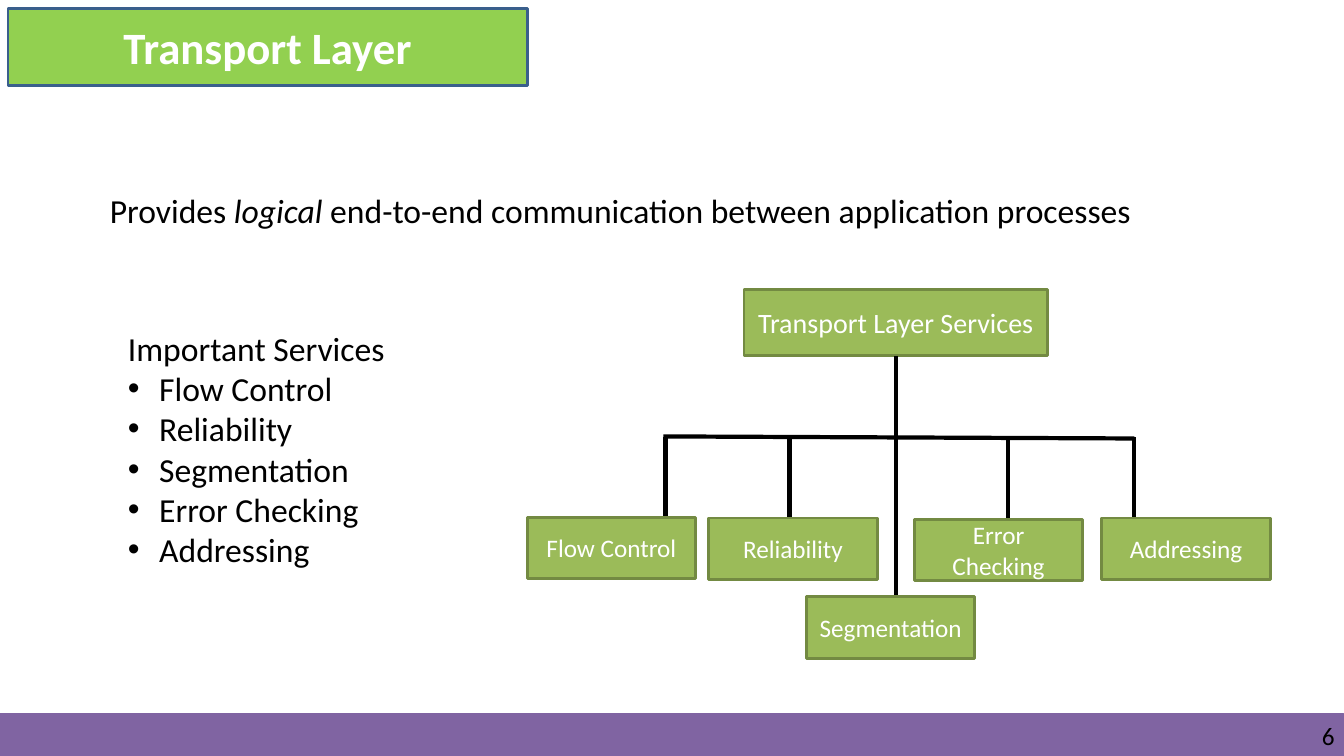
from dataclasses import dataclass

from lxml.etree import SubElement
from pptx import Presentation
from pptx.dml.color import RGBColor as RGB
from pptx.enum.shapes import MSO_CONNECTOR as CONNECTOR, MSO_SHAPE as SHAPE
from pptx.enum.text import MSO_ANCHOR as ANCHOR, MSO_AUTO_SIZE as AUTOSIZE, PP_ALIGN as ALIGN
from pptx.oxml.ns import qn
from pptx.util import Inches, Pt

WIDTH, HEIGHT = Inches(13.33), Inches(7.5)


@dataclass(frozen=True)
class Theme:
    font: str = "Calibri"
    ink: RGB = RGB.from_string("000000")
    light: RGB = RGB.from_string("FFFFFF")
    title_fill: RGB = RGB.from_string("92D050")
    title_edge: RGB = RGB.from_string("3A5F8C")
    node_fill: RGB = RGB.from_string("9BBB59")
    node_edge: RGB = RGB.from_string("738A42")
    footer: RGB = RGB.from_string("8064A2")
    title_size: int = 32
    body_size: int = 24
    root_size: int = 20
    small_size: int = 18
    edge: float = 2
    branch: float = 3
    bullet_indent: float = 0.31


THEME = Theme()

# Positions and sizes are percentages of the slide's width and height.
LEAF_SIZE = (12.53, 8.13)
BUS_Y = 57.87
# service: (box left, box top, x of its branch)
SERVICES = {
    "Flow Control": (39.23, 68.4, 49.51),
    "Reliability": (52.74, 68.53, 58.74),
    "Segmentation": (60.01, 78.93, 66.69),
    "Error Checking": (68.04, 68.67, 75.02),
    "Addressing": (81.99, 68.53, 84.4),
}


def across(share):
    return round(WIDTH * share / 100)


def down(share):
    return round(HEIGHT * share / 100)


def area(left, top, width, height):
    return across(left), down(top), across(width), down(height)


def add_run(paragraph, text, size, color, bold=False, italic=False):
    run = paragraph.add_run()
    run.text = text
    font = run.font
    font.name, font.size, font.color.rgb = THEME.font, Pt(size), color
    font.bold, font.italic = bold, italic


def paint(shape, fill, edge, weight):
    shape.fill.solid()
    shape.fill.fore_color.rgb = fill
    shape.line.color.rgb = edge
    shape.line.width = Pt(weight)


def write_centred(shape, text, size, bold=False):
    frame = shape.text_frame
    frame.word_wrap, frame.auto_size = True, AUTOSIZE.NONE
    frame.vertical_anchor = ANCHOR.MIDDLE
    paragraph = frame.paragraphs[0]
    paragraph.alignment = ALIGN.CENTER
    add_run(paragraph, text, size, THEME.light, bold)


def add_rectangle(slide, box, fill, edge, weight):
    rectangle = slide.shapes.add_shape(SHAPE.RECTANGLE, *area(*box))
    rectangle.shadow.inherit = False
    paint(rectangle, fill, edge, weight)
    return rectangle


def add_node(slide, box, label, size):
    node = add_rectangle(slide, box, THEME.node_fill, THEME.node_edge, THEME.edge)
    write_centred(node, label, size)
    return node


def add_branch(slide, start, end):
    branch = slide.shapes.add_connector(
        CONNECTOR.STRAIGHT, across(start[0]), down(start[1]), across(end[0]), down(end[1]))
    branch.line.color.rgb = THEME.ink
    branch.line.width = Pt(THEME.branch)
    SubElement(branch.element.spPr, qn("a:effectLst"))
    return branch


def add_text_frame(slide, box):
    frame = slide.shapes.add_textbox(*area(*box)).text_frame
    frame.word_wrap = True
    return frame


def add_bullet(paragraph):
    properties = paragraph._p.get_or_add_pPr()
    indent = Inches(THEME.bullet_indent)
    properties.set("marL", str(indent))
    properties.set("indent", str(-indent))
    SubElement(properties, qn("a:buFont"), typeface="Arial")
    SubElement(properties, qn("a:buChar"), char="•")


def add_footer(slide, number):
    add_rectangle(slide, (0, 94.4, 100, 5.6), THEME.footer, THEME.footer, 0.75)
    frame = add_text_frame(slide, (76.28, 95.33, 23.03, 4))
    frame.margin_left = frame.margin_right = frame.margin_top = frame.margin_bottom = 0
    paragraph = frame.paragraphs[0]
    paragraph.alignment = ALIGN.RIGHT
    add_run(paragraph, number, THEME.small_size, THEME.ink)


def format_title(slide, text):
    title = slide.shapes.title
    title.left, title.top, title.width, title.height = area(0.6, 1.07, 38.63, 10.27)
    paint(title, THEME.title_fill, THEME.title_edge, THEME.edge)
    write_centred(title, text, THEME.title_size, bold=True)


def add_statement(slide):
    paragraph = add_text_frame(slide, (7.43, 24.4, 85.14, 6.67)).paragraphs[0]
    add_run(paragraph, "Provides ", THEME.body_size, THEME.ink)
    add_run(paragraph, "logical", THEME.body_size, THEME.ink, italic=True)
    add_run(paragraph, " end-to-end communication between application processes",
            THEME.body_size, THEME.ink)


def add_service_list(slide):
    frame = add_text_frame(slide, (8.78, 42.67, 22.58, 33.6))
    add_run(frame.paragraphs[0], "Important Services", THEME.body_size, THEME.ink)
    for service in SERVICES:
        paragraph = frame.add_paragraph()
        add_bullet(paragraph)
        add_run(paragraph, service, THEME.body_size, THEME.ink)


def add_service_tree(slide):
    root = add_node(slide, (55.36, 38.27, 22.58, 8.8), "Transport Layer Services",
                    THEME.root_size)
    trunk = add_branch(slide, (66.65, 47.07), (66.65, BUS_Y))
    trunk.begin_connect(root, 2)
    add_branch(slide, (84.4, 58), (49.36, 57.73))
    for service, (left, top, branch_x) in SERVICES.items():
        add_branch(slide, (branch_x, BUS_Y), (branch_x, top))
        add_node(slide, (left, top, *LEAF_SIZE), service, THEME.small_size)


def main():
    deck = Presentation()
    deck.slide_width, deck.slide_height = WIDTH, HEIGHT
    slide = deck.slides.add_slide(deck.slide_layouts[5])
    add_footer(slide, "6")
    format_title(slide, "Transport Layer")
    add_statement(slide)
    add_service_list(slide)
    add_service_tree(slide)
    deck.save("out.pptx")


if __name__ == "__main__":
    main()
